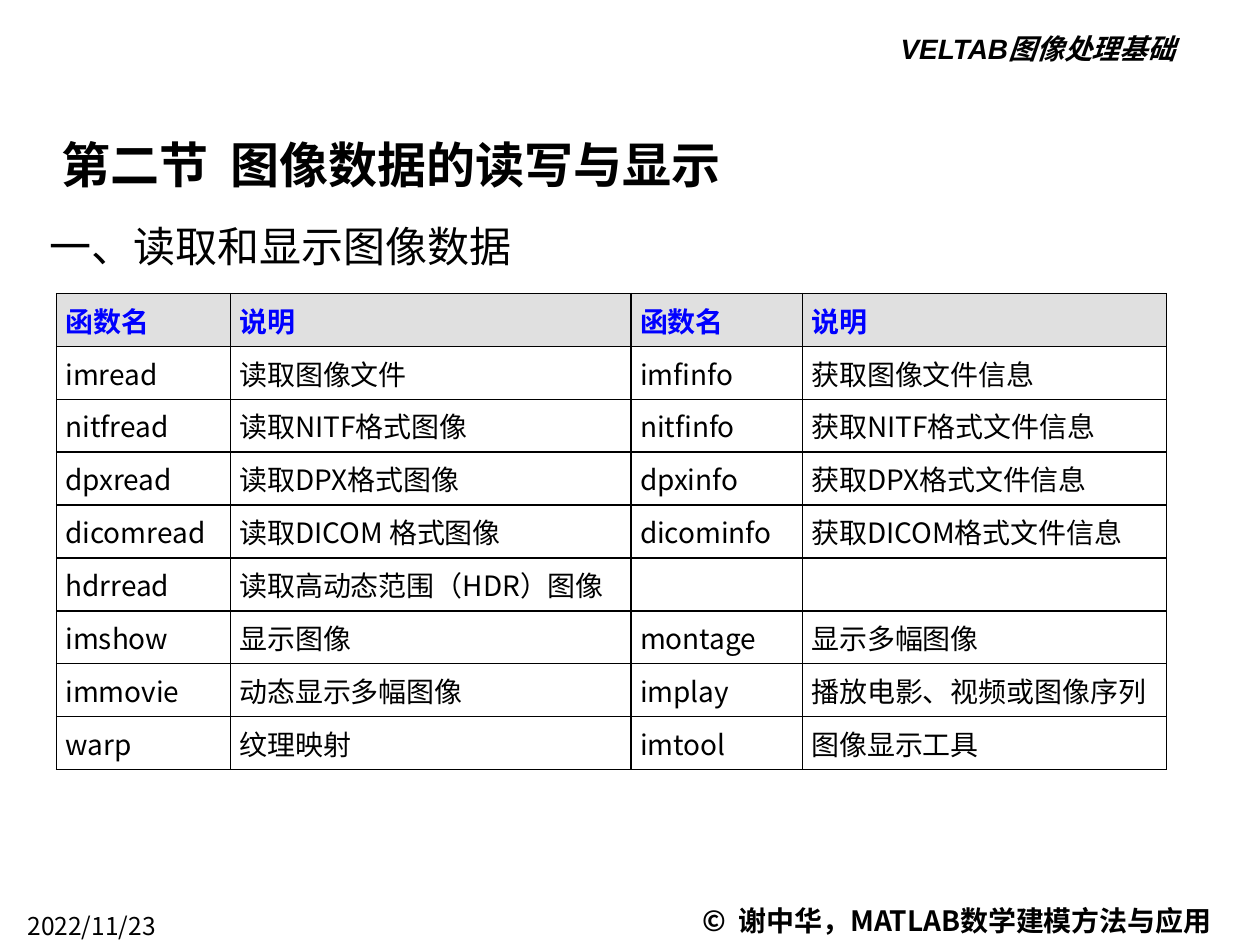
from lxml.etree import SubElement
from pptx import Presentation
from pptx.dml.color import RGBColor
from pptx.enum.text import MSO_ANCHOR as Anchor, MSO_AUTO_SIZE as AutoSize, PP_ALIGN as Align
from pptx.oxml import parse_xml
from pptx.oxml.ns import nsdecls, qn
from pptx.util import Inches, Pt

CJK = "Noto Sans CJK SC"
BLACK, BLUE, GREY = "000000", "0000FF", "E0E0E0"
COLUMN_WIDTHS = [1.38, 3.18, 1.36, 2.89]
ROW_HEIGHT = 0.42
FUNCTIONS = [
    ("函数名", "说明", "函数名", "说明"),
    ("imread", "读取图像文件", "imfinfo", "获取图像文件信息"),
    ("nitfread", "读取NITF格式图像", "nitfinfo", "获取NITF格式文件信息"),
    ("dpxread", "读取DPX格式图像", "dpxinfo", "获取DPX格式文件信息"),
    ("dicomread", "读取DICOM 格式图像", "dicominfo", "获取DICOM格式文件信息"),
    ("hdrread", "读取高动态范围（HDR）图像", "", ""),
    ("imshow", "显示图像", "montage", "显示多幅图像"),
    ("immovie", "动态显示多幅图像", "implay", "播放电影、视频或图像序列"),
    ("warp", "纹理映射", "imtool", "图像显示工具"),
]


def rgb(color):
    return RGBColor.from_string(color)


def write(frame, text, size, color=BLACK, bold=False, italic=False, font=CJK, align=Align.LEFT):
    frame.text = text
    paragraph = frame.paragraphs[0]
    paragraph.alignment = align
    paragraph.space_before = Pt(0)
    for run in paragraph.runs:
        run.font.size, run.font.name = Pt(size), font
        run.font.bold, run.font.italic = bold, italic
        run.font.color.rgb = rgb(color)
        # Chinese characters take the East Asian typeface
        SubElement(run.font._element, qn("a:ea")).set("typeface", CJK)


def place(shape, box):
    shape.left, shape.top, shape.width, shape.height = (Inches(v) for v in box)


def fit_frame(shape, anchor):
    frame = shape.text_frame
    frame.word_wrap = True
    frame.auto_size = AutoSize.NONE
    frame.vertical_anchor = anchor
    return frame


def add_label(slide, box, text, size, anchor=Anchor.TOP, **style):
    label = slide.shapes.add_textbox(*(Inches(v) for v in box))
    write(fit_frame(label, anchor), text, size, **style)


def fill_headings(slide, title_box, section_box):
    title, section = slide.shapes.title, slide.placeholders[1]
    place(title, title_box)
    write(fit_frame(title, Anchor.TOP), "第二节  图像数据的读写与显示", 28, bold=True)

    place(section, section_box)
    frame = fit_frame(section, Anchor.TOP)
    write(frame, "一、读取和显示图像数据", 24)
    # No bullet and no hanging indent
    properties = frame.paragraphs[0]._p.get_or_add_pPr()
    properties.set("marL", "0")
    properties.set("indent", "0")
    SubElement(properties, qn("a:buNone"))


def add_borders(cell):
    properties = cell._tc.get_or_add_tcPr()
    for position, side in enumerate(("lnL", "lnR", "lnT", "lnB")):
        properties.insert(position, parse_xml(
            f'<a:{side} {nsdecls("a")} w="{Pt(1)}"><a:solidFill>'
            f'<a:srgbClr val="{BLACK}"/></a:solidFill></a:{side}>'))


def add_function_table(slide, left, top):
    table = slide.shapes.add_table(
        len(FUNCTIONS), len(COLUMN_WIDTHS), Inches(left), Inches(top),
        Inches(sum(COLUMN_WIDTHS)), Inches(ROW_HEIGHT * len(FUNCTIONS))).table
    table.first_row = table.horz_banding = False
    for column, width in zip(table.columns, COLUMN_WIDTHS):
        column.width = Inches(width)
    for r, texts in enumerate(FUNCTIONS):
        table.rows[r].height = Inches(ROW_HEIGHT)
        header = r == 0
        for c, text in enumerate(texts):
            cell = table.cell(r, c)
            cell.margin_left = cell.margin_right = Inches(0.07)
            cell.margin_top = cell.margin_bottom = 0
            cell.vertical_anchor = Anchor.MIDDLE
            write(cell.text_frame, text, 16, BLUE if header else BLACK,
                  bold=header, align=Align.JUSTIFY)
            if header:
                cell.fill.solid()
                cell.fill.fore_color.rgb = rgb(GREY)
            else:
                cell.fill.background()
            add_borders(cell)


def add_footer(slide, date_box, copyright_box):
    add_label(slide, date_box, "2022/11/23", 14, Anchor.MIDDLE)
    add_label(slide, copyright_box, "©  谢中华，MATLAB数学建模方法与应用", 16,
              Anchor.MIDDLE, bold=True, align=Align.CENTER)


def main():
    deck = Presentation()
    deck.slide_width, deck.slide_height = Inches(10), Inches(7.5)
    slide = deck.slides.add_slide(deck.slide_layouts[1])

    # Running header
    add_label(slide, (7.05, 0.2, 2.6, 0.37), "VELTAB图像处理基础", 16,
              bold=True, italic=True, font="Arial")
    # Title and section heading
    fill_headings(slide, (0.39, 1.02, 7.44, 0.57), (0.29, 1.7, 5.81, 0.5))
    # Function overview
    add_function_table(slide, 0.45, 2.33)
    # Date and copyright line
    add_footer(slide, (0.12, 7.24, 2.33, 0.22), (5.31, 7.16, 4.57, 0.29))

    deck.save("out.pptx")


if __name__ == "__main__":
    main()
